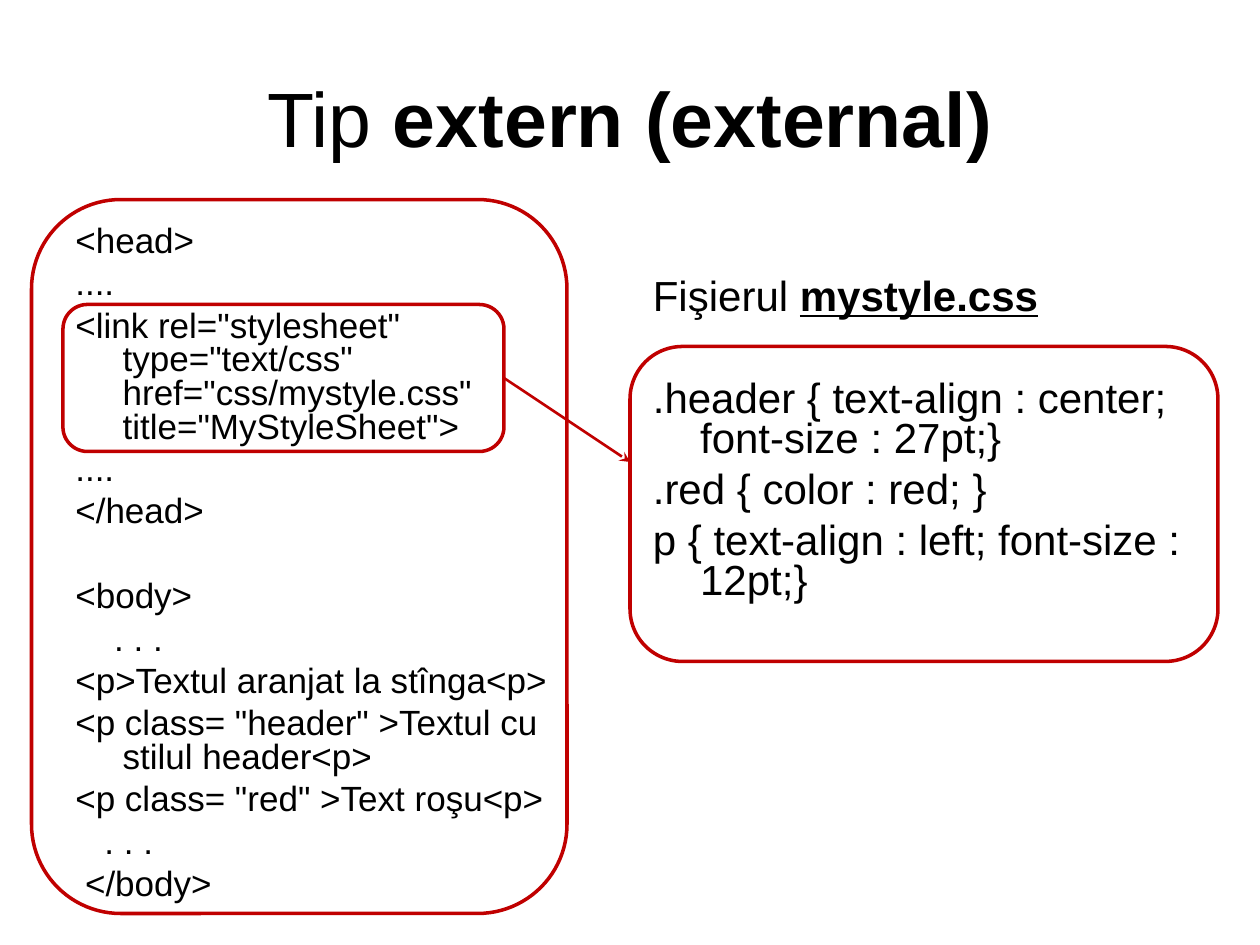
from lxml.etree import SubElement
from pptx import Presentation
from pptx.dml.color import RGBColor
from pptx.enum.shapes import MSO_CONNECTOR, MSO_SHAPE
from pptx.enum.text import MSO_ANCHOR, PP_ALIGN
from pptx.oxml.ns import qn
from pptx.util import Pt

COLORS = {"text": "000000", "outline": "C00000"}
FONT = "Arial"
HANGING_INDENT = 27

HTML_LINES = [
    "<head>",
    "....",
    '<link rel="stylesheet" type="text/css" href="css/mystyle.css" title="MyStyleSheet">',
    "....",
    "</head>",
    "<body>",
    "    . . .",
    "<p>Textul aranjat la stînga<p>",
    '<p class= "header" >Textul cu stilul header<p>',
    '<p class= "red" >Text roşu<p>',
    "   . . .",
    " </body>",
]
CSS_LINES = [
    ".header { text-align : center; font-size : 27pt;}",
    ".red { color : red; }",
    "p { text-align : left; font-size : 12pt;}",
]


def add_span(para, text, size, bold=False, underline=False):
    span = para.add_run()
    span.text = text
    span.font.name = FONT
    span.font.size = Pt(size)
    span.font.bold = bold
    span.font.underline = underline
    span.font.color.rgb = RGBColor.from_string(COLORS["text"])


def set_title(page):
    title = page.shapes.title
    title.left, title.top, title.width, title.height = Pt(36), Pt(21.6), Pt(648), Pt(90)
    title.text_frame.vertical_anchor = MSO_ANCHOR.MIDDLE
    para = title.text_frame.paragraphs[0]
    para.alignment = PP_ALIGN.CENTER
    add_span(para, "Tip ", 44)
    add_span(para, "extern (external)", 44, bold=True)


def add_listing_box(page, left, top, width, height):
    box = page.shapes.add_textbox(Pt(left), Pt(top), Pt(width), Pt(height))
    box.text_frame.word_wrap = True
    return box.text_frame


def add_listing_para(frame, first=False, space_before=0):
    """Start a paragraph whose wrapped lines are indented."""
    para = frame.paragraphs[0] if first else frame.add_paragraph()
    properties = para._p.get_or_add_pPr()
    properties.set("marL", str(Pt(HANGING_INDENT)))
    properties.set("indent", str(-Pt(HANGING_INDENT)))
    para.line_spacing = 0.8
    para.space_before = Pt(space_before)
    return para


def add_html_listing(page):
    frame = add_listing_box(page, 36, 126, 318, 414)
    for index, line in enumerate(HTML_LINES):
        gap = 0 if index == 0 else 29.3 if line == "<body>" else 5
        add_span(add_listing_para(frame, index == 0, gap), line, 20)


def add_css_listing(page):
    frame = add_listing_box(page, 366, 156, 318, 326)
    heading = add_listing_para(frame, first=True)
    add_span(heading, "Fişierul ", 24)
    add_span(heading, "mystyle.css", 24, bold=True, underline=True)
    for index, line in enumerate(CSS_LINES):
        add_span(add_listing_para(frame, space_before=6 if index else 35), line, 24)


def add_rounded_outline(page, left, top, width, height):
    outline = page.shapes.add_shape(
        MSO_SHAPE.ROUNDED_RECTANGLE, Pt(left), Pt(top), Pt(width), Pt(height))
    outline.shadow.inherit = False
    outline.fill.background()
    outline.line.color.rgb = RGBColor.from_string(COLORS["outline"])
    outline.line.width = Pt(2)
    return outline


def add_arrow_from(page, source, end_x, end_y):
    """Draw an arrow from the middle of the source's right side."""
    arrow = page.shapes.add_connector(
        MSO_CONNECTOR.STRAIGHT, source.left + source.width,
        source.top + source.height // 2, Pt(end_x), Pt(end_y))
    arrow.begin_connect(source, 3)
    arrow.line.color.rgb = RGBColor.from_string(COLORS["outline"])
    arrow.line.width = Pt(1.5)
    SubElement(arrow.line._get_or_add_ln(), qn("a:tailEnd"), type="stealth")
    SubElement(arrow._element.spPr, qn("a:effectLst"))


def main():
    deck = Presentation()
    deck.slide_width, deck.slide_height = Pt(720), Pt(540)
    page = deck.slides.add_slide(deck.slide_layouts[5])
    set_title(page)
    add_html_listing(page)
    add_css_listing(page)
    add_rounded_outline(page, 18, 114, 306, 408)
    add_rounded_outline(page, 360, 198, 336, 180)
    link_outline = add_rounded_outline(page, 36, 174, 252, 84)
    add_arrow_from(page, link_outline, 360, 264)
    deck.save("out.pptx")


if __name__ == "__main__":
    main()
